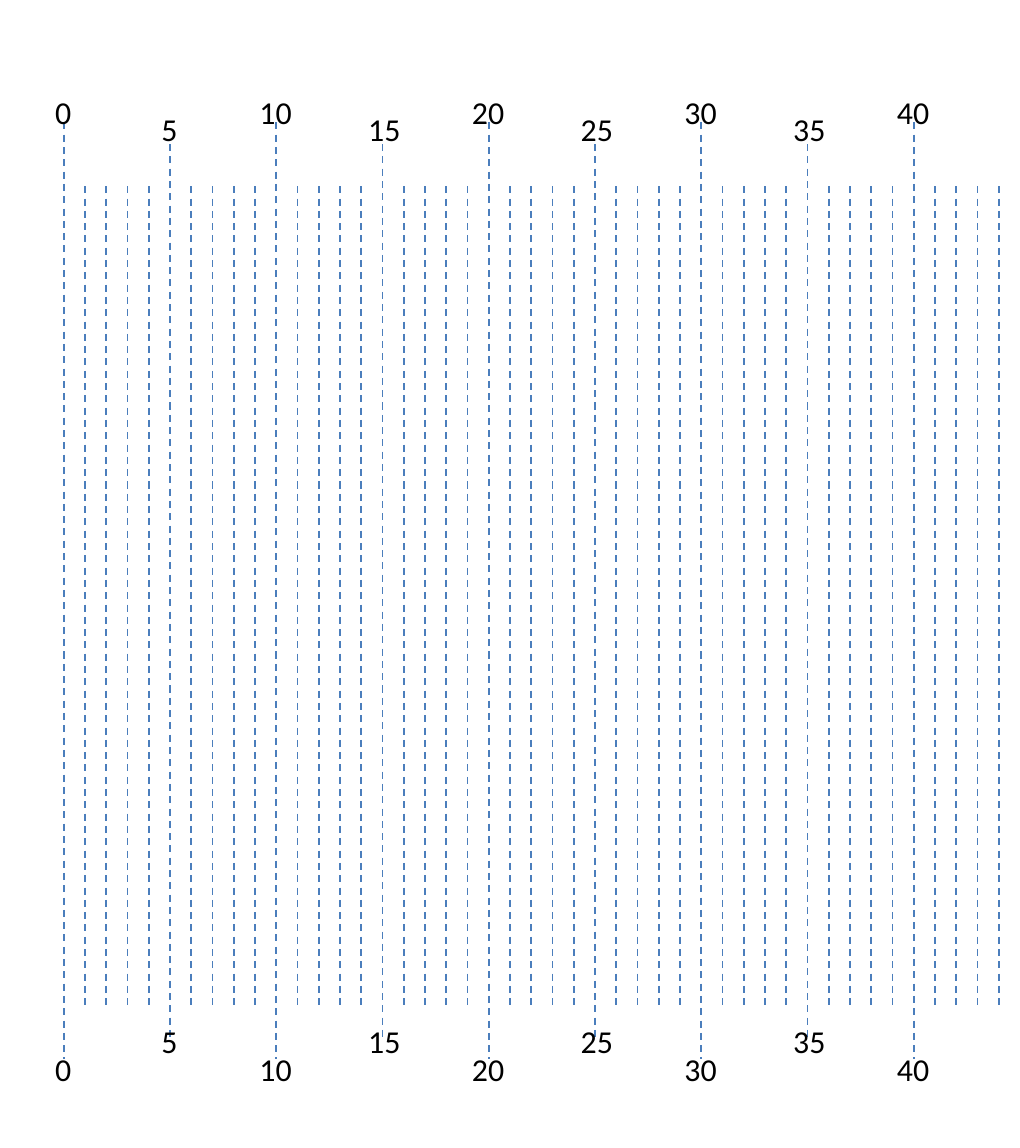
from dataclasses import dataclass
from pptx import Presentation
from pptx.dml.color import RGBColor
from pptx.enum.dml import MSO_LINE
from pptx.enum.shapes import MSO_CONNECTOR
from pptx.enum.text import MSO_AUTO_SIZE, PP_ALIGN
from pptx.oxml.ns import qn
from pptx.util import Inches, Pt
from lxml.etree import SubElement

LAST = 44
LEFT, STEP = 0.5, 1 / 6
SPANS = {"ten": (0.96, 8.3), "five": (1.13, 8.13), "unit": (1.46, 7.88)}
LABELS = {"ten": (0.68, 8.18), "five": (0.81, 7.96)}
WIDTHS = {1: 0.33, 2: 0.46}
HEIGHT = 0.4
NUDGE = 0.02


@dataclass(frozen=True)
class Theme:
    line: RGBColor = RGBColor(0x4B, 0x7E, 0xBC)
    text: RGBColor = RGBColor(0, 0, 0)
    font: str = "Calibri"
    size: Pt = Pt(18)
    weight: Pt = Pt(1)


THEME = Theme()


def rank(mark):
    if mark % 10 == 0:
        return "ten"
    return "five" if mark % 5 == 0 else "unit"


def add_line(slide, x, top, end):
    line = slide.shapes.add_connector(
        MSO_CONNECTOR.STRAIGHT, Inches(x), Inches(top), Inches(x), Inches(end))
    line.line.color.rgb = THEME.line
    line.line.width = THEME.weight
    line.line.dash_style = MSO_LINE.DASH
    SubElement(line._element.spPr, qn("a:effectLst"))


def add_label(slide, mark, x, top):
    text = str(mark)
    width = WIDTHS[len(text)]
    shift = NUDGE if rank(mark) == "five" and len(text) == 2 else 0
    box = slide.shapes.add_textbox(
        Inches(x + shift - width / 2), Inches(top), Inches(width), Inches(HEIGHT))
    frame = box.text_frame
    frame.text = text
    frame.word_wrap = False
    frame.auto_size = MSO_AUTO_SIZE.SHAPE_TO_FIT_TEXT
    para = frame.paragraphs[0]
    para.alignment = PP_ALIGN.LEFT
    font = para.runs[0].font
    font.name = THEME.font
    font.size = THEME.size
    font.color.rgb = THEME.text


def main():
    deck = Presentation()
    deck.slide_width, deck.slide_height = Inches(8), Inches(9)
    slide = deck.slides.add_slide(deck.slide_layouts[6])
    marks = [(mark, LEFT + mark * STEP) for mark in range(LAST + 1)]
    for mark, x in marks:
        add_line(slide, x, *SPANS[rank(mark)])
    for mark, x in marks:
        for top in LABELS.get(rank(mark), ()):
            add_label(slide, mark, x, top)
    deck.save("out.pptx")


if __name__ == "__main__":
    main()
